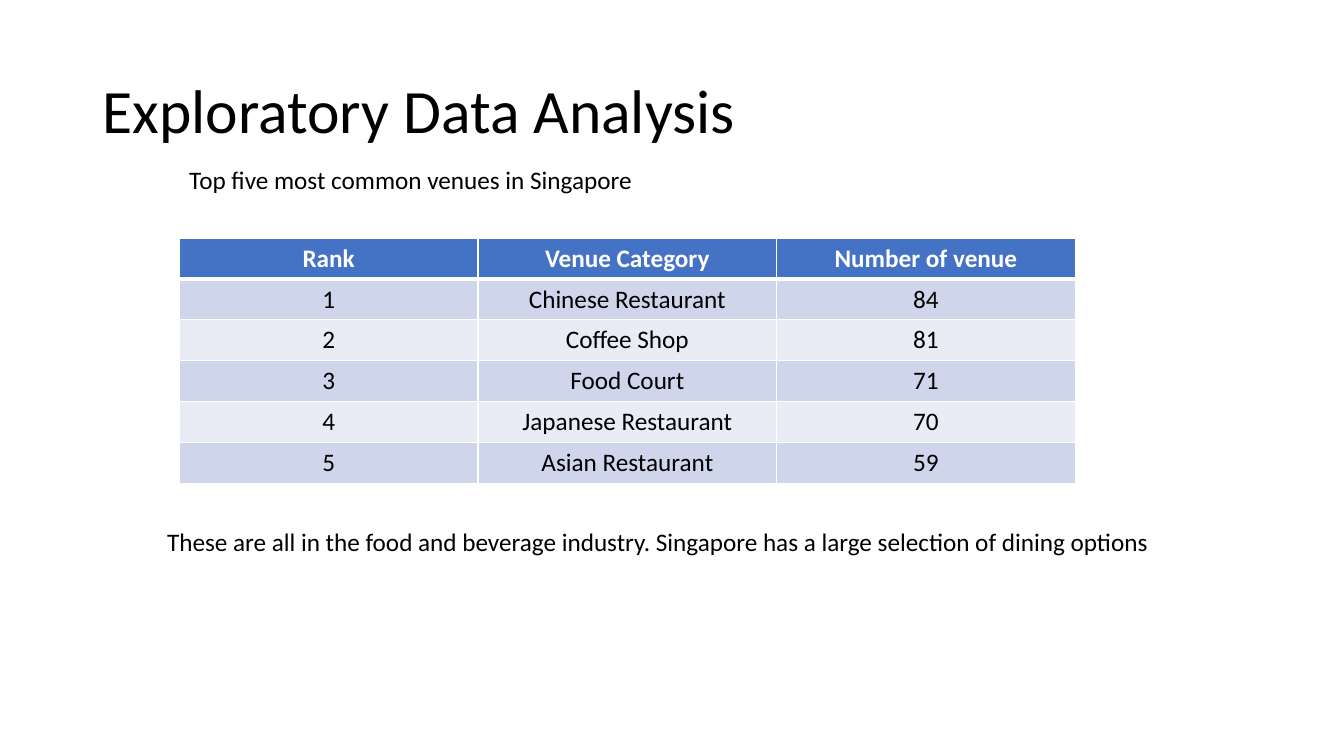
from dataclasses import dataclass
from lxml.etree import SubElement as Sub
from pptx import Presentation
from pptx.dml.color import RGBColor as Rgb
from pptx.enum.text import MSO_ANCHOR as Anchor, MSO_AUTO_SIZE as Fit, PP_ALIGN as Align
from pptx.oxml.ns import qn
from pptx.util import Cm, Pt


@dataclass(frozen=True)
class Theme:
    font: str = "Calibri"
    black: str = "000000"
    white: str = "FFFFFF"
    head: str = "4472C4"
    bands: tuple = ("CFD5EA", "E9EBF5")
    title: int = 44
    body: int = 18
    thin: int = 1
    thick: int = 3


THEME = Theme()

VENUES = [
    ("Rank", "Venue Category", "Number of venue"),
    ("1", "Chinese Restaurant", "84"),
    ("2", "Coffee Shop", "81"),
    ("3", "Food Court", "71"),
    ("4", "Japanese Restaurant", "70"),
    ("5", "Asian Restaurant", "59"),
]


def add_run(para, text, size=THEME.body, color=THEME.black, bold=False):
    run = para.add_run()
    run.text = text
    font = run.font
    font.name = THEME.font
    font.size = Pt(size)
    font.bold = bold
    font.color.rgb = Rgb.from_string(color)


def set_title(slide, text):
    title = slide.shapes.title
    title.left, title.top = Cm(2.33), Cm(1.01)
    title.width, title.height = Cm(29.21), Cm(3.68)
    frame = title.text_frame
    frame.vertical_anchor = Anchor.MIDDLE
    para = frame.paragraphs[0]
    para.alignment = Align.LEFT
    para.line_spacing = 0.9
    add_run(para, text, THEME.title)


def add_note(slide, text, left, top, width):
    box = slide.shapes.add_textbox(Cm(left), Cm(top), Cm(width), Cm(1.03))
    frame = box.text_frame
    frame.word_wrap = True
    frame.auto_size = Fit.SHAPE_TO_FIT_TEXT
    add_run(frame.paragraphs[0], text)


def set_edge(cell, side, width):
    line = Sub(cell._tc.get_or_add_tcPr(), qn(f"a:ln{side}"), w=str(Pt(width)))
    fill = Sub(line, qn("a:solidFill"))
    Sub(fill, qn("a:srgbClr"), val=THEME.white)


def fill_cell(cell, text, row):
    head = row == 0
    edges = {
        "L": THEME.thin,
        "R": THEME.thin,
        "T": THEME.thick if row == 1 else THEME.thin,
        "B": THEME.thick if head else THEME.thin,
    }
    for side, width in edges.items():
        set_edge(cell, side, width)
    cell.fill.solid()
    color = THEME.head if head else THEME.bands[(row - 1) % 2]
    cell.fill.fore_color.rgb = Rgb.from_string(color)
    para = cell.text_frame.paragraphs[0]
    para.alignment = Align.CENTER
    add_run(para, text, color=THEME.white if head else THEME.black, bold=head)


def add_grid(slide, data, left, top, width, height):
    table = slide.shapes.add_table(
        len(data), len(data[0]), Cm(left), Cm(top), Cm(width), Cm(height)
    ).table
    for row, texts in enumerate(data):
        for col, text in enumerate(texts):
            fill_cell(table.cell(row, col), text, row)


def main():
    deck = Presentation()
    deck.slide_width, deck.slide_height = Cm(33.87), Cm(19.05)
    slide = deck.slides.add_slide(deck.slide_layouts[5])
    set_title(slide, "Exploratory Data Analysis")
    add_note(slide, "Top five most common venues in Singapore", 4.52, 4.01, 20.32)
    add_grid(slide, VENUES, 4.52, 6, 22.58, 6.18)
    add_note(
        slide,
        "These are all in the food and beverage industry. "
        "Singapore has a large selection of dining options",
        3.96, 13.13, 25.93,
    )
    deck.save("out.pptx")


if __name__ == "__main__":
    main()
